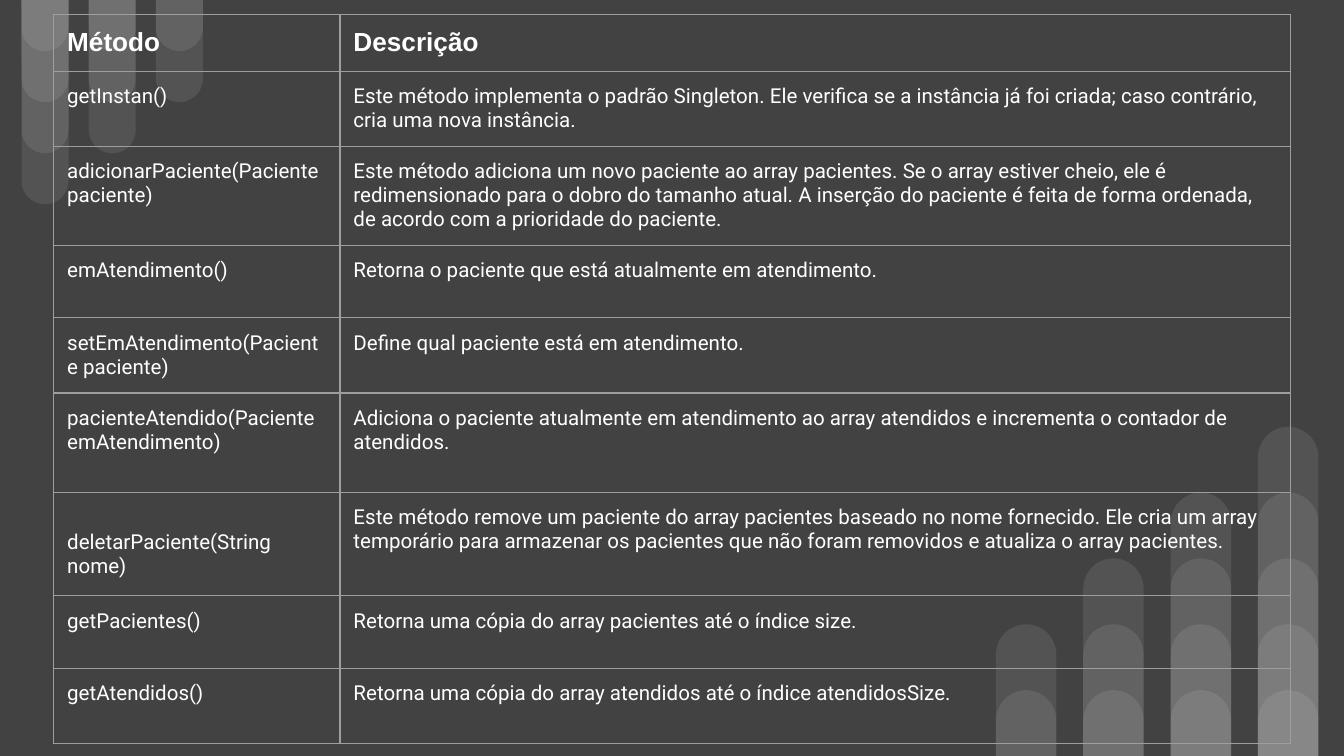
from lxml import etree
from pptx import Presentation
from pptx.dml.color import RGBColor
from pptx.enum.shapes import MSO_SHAPE
from pptx.oxml.ns import qn
from pptx.util import Inches, Pt

ROUND_TOP = MSO_SHAPE.ROUND_2_SAME_RECTANGLE
WHITE, GRAY, DARK = "FFFFFF", "9E9E9E", "424242"
WIDTH = 10
HEIGHT = WIDTH * 9 / 16

METHODS = [
    ("Método", "Descrição"),
    ("getInstan()",
     "Este método implementa o padrão Singleton. Ele verifica se a instância já foi "
     "criada; caso contrário, cria uma nova instância."),
    ("adicionarPaciente(Paciente paciente)",
     "Este método adiciona um novo paciente ao array pacientes. Se o array estiver cheio, "
     "ele é redimensionado para o dobro do tamanho atual. A inserção do paciente é feita "
     "de forma ordenada, de acordo com a prioridade do paciente."),
    ("emAtendimento()", "Retorna o paciente que está atualmente em atendimento."),
    ("setEmAtendimento(Paciente paciente)", "Define qual paciente está em atendimento."),
    ("pacienteAtendido(Paciente emAtendimento)",
     "Adiciona o paciente atualmente em atendimento ao array atendidos e incrementa o "
     "contador de atendidos."),
    ("deletarPaciente(String nome)",
     "Este método remove um paciente do array pacientes baseado no nome fornecido. Ele "
     "cria um array temporário para armazenar os pacientes que não foram removidos e "
     "atualiza o array pacientes."),
    ("getPacientes()", "Retorna uma cópia do array pacientes até o índice size."),
    ("getAtendidos()", "Retorna uma cópia do array atendidos até o índice atendidosSize."),
]
COLUMN_WIDTHS = [2.13, 7.07]
ROW_HEIGHTS = [0.42, 0.56, 0.73, 0.54, 0.56, 0.74, 0.77, 0.54, 0.56]


def write_cell(cell, text, size=11, font="Roboto", bold=False, color=WHITE, top=0.1):
    """Fill a transparent, thinly ruled cell with one formatted run."""
    cell.margin_left = cell.margin_right = cell.margin_bottom = Inches(0.1)
    cell.margin_top = Inches(top)
    run = cell.text_frame.paragraphs[0].add_run()
    run.text = text
    run.font.size, run.font.name, run.font.bold = Pt(size), font, bold
    run.font.color.rgb = RGBColor.from_string(color)
    cell.fill.background()
    properties = cell._tc.get_or_add_tcPr()
    for position, side in enumerate(("lnL", "lnR", "lnT", "lnB")):
        border = etree.Element(qn(f"a:{side}"), w=str(Pt(0.75)))
        solid = etree.SubElement(border, qn("a:solidFill"))
        etree.SubElement(solid, qn("a:srgbClr"), val=GRAY)
        properties.insert(position, border)


def add_bar(left, top, width, height, rotation=0):
    """Add a translucent bar with a rounded end."""
    bar = slide.shapes.add_shape(
        ROUND_TOP, Inches(left), Inches(top), Inches(width), Inches(height))
    bar.adjustments[0], bar.adjustments[1] = 0.5, 0
    bar.rotation = rotation
    bar.shadow.inherit = False
    bar.line.fill.background()
    bar.fill.solid()
    bar.fill.fore_color.rgb = RGBColor.from_string(WHITE)
    color = bar._element.spPr.find(f".//{qn('a:srgbClr')}")
    etree.SubElement(color, qn("a:alpha"), val="9000")


prs = Presentation()
prs.slide_width, prs.slide_height = Inches(WIDTH), Inches(HEIGHT)
slide = prs.slides.add_slide(prs.slide_layouts[6])
slide.background.fill.solid()
slide.background.fill.fore_color.rgb = RGBColor.from_string(DARK)

# Overlapping bars hang from the top left, one fewer in each column
for column, count in enumerate((4, 3, 2)):
    for level in range(1, count + 1):
        add_bar(0.16 + 0.5 * column, 0, 0.35, 0.38 * level, rotation=180)

# Overlapping bars rise at the bottom right, one more in each column
for column, count in enumerate((2, 3, 4, 5)):
    for level in range(1, count + 1):
        rise = 0.49 * level
        add_bar(7.41 + 0.65 * column, HEIGHT - rise, 0.45, rise)

table = slide.shapes.add_table(
    len(METHODS), len(COLUMN_WIDTHS), Inches(0.4), Inches(0.11),
    Inches(sum(COLUMN_WIDTHS)), Inches(sum(ROW_HEIGHTS))).table
table.first_row = table.horz_banding = False
for column, width in zip(table.columns, COLUMN_WIDTHS):
    column.width = Inches(width)
for row, height, entry in zip(table.rows, ROW_HEIGHTS, METHODS):
    row.height = Inches(height)
    for cell, text in zip(row.cells, entry):
        if entry == METHODS[0]:
            write_cell(cell, text, size=14, font="Arial", bold=True)
        else:
            # This method name starts one line lower than its description
            write_cell(cell, text, top=0.28 if text.startswith("deletar") else 0.1)

prs.save("out.pptx")
